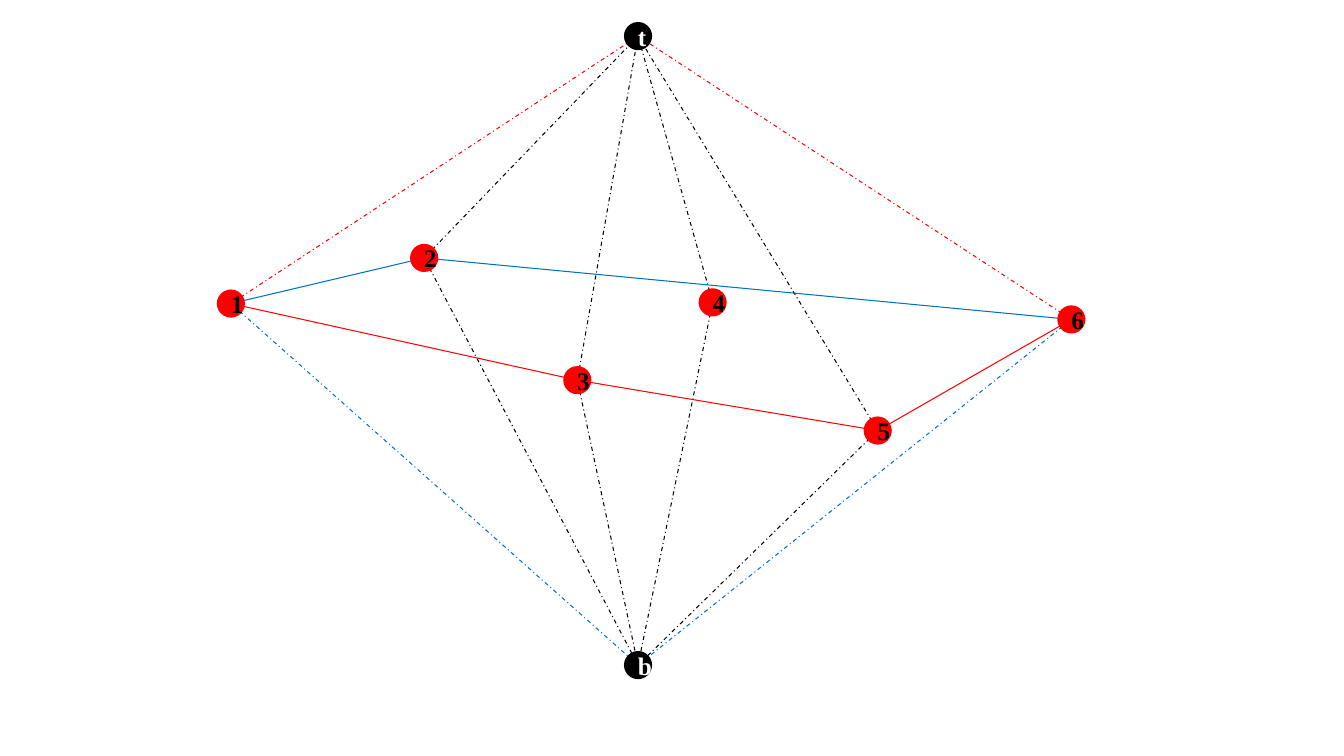
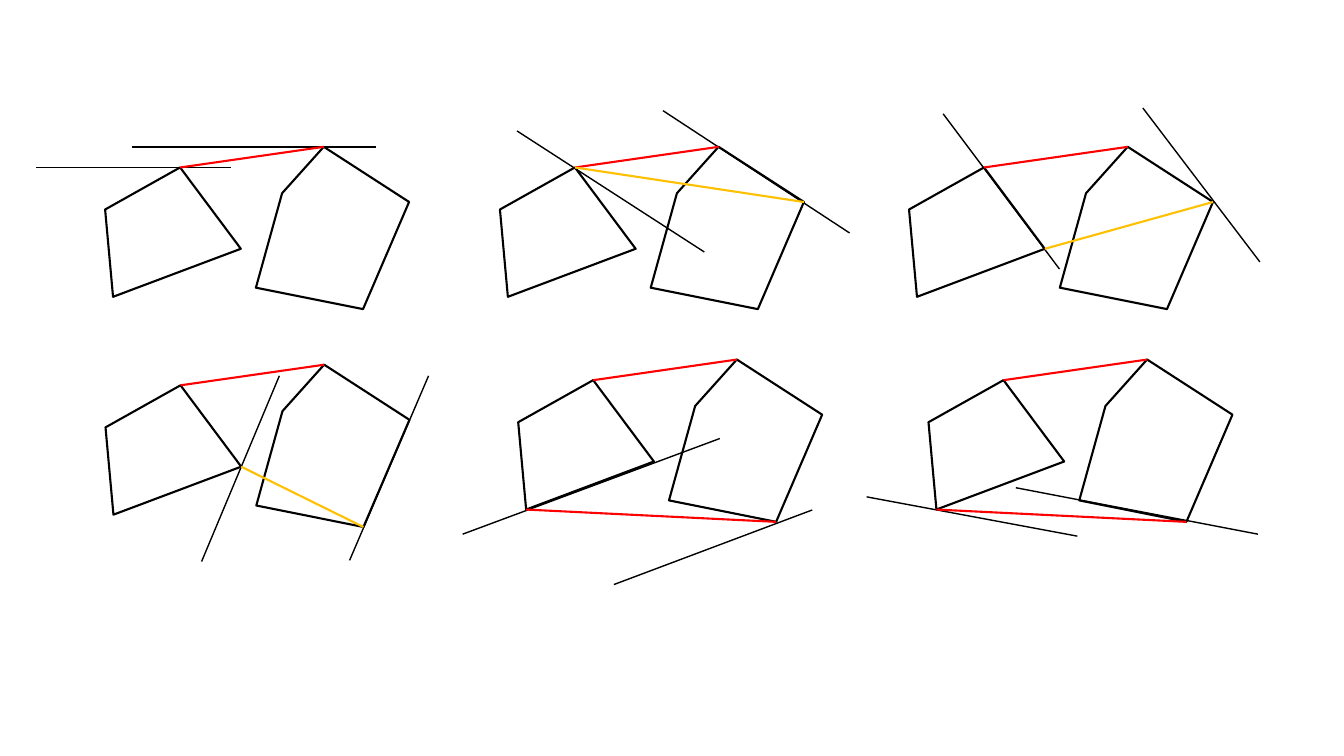
from pptx import Presentation
from pptx.dml.color import RGBColor
from pptx.enum.dml import MSO_LINE
from pptx.enum.shapes import MSO_CONNECTOR, MSO_SHAPE
from pptx.enum.text import MSO_ANCHOR, PP_ALIGN
from pptx.oxml.xmlchemy import OxmlElement
from pptx.util import Cm, Pt

STRAIGHT = MSO_CONNECTOR.STRAIGHT
OVAL = MSO_SHAPE.OVAL
DASH_DOT = MSO_LINE.DASH_DOT
MIDDLE = MSO_ANCHOR.MIDDLE
CENTER = PP_ALIGN.CENTER

BLACK, WHITE = "000000", "FFFFFF"
RED, BLUE, AMBER = "FF0000", "0070C0", "FFC000"
FONT = "Times New Roman"


def rgb(color):
    return RGBColor.from_string(color)


def add_line(slide, start, end, color, width, dash=None):
    """Draw a straight line between two (x, y) points in centimetres."""
    line = slide.shapes.add_connector(STRAIGHT, *map(Cm, start + end))
    line.line.color.rgb = rgb(color)
    line.line.width = Pt(width)
    if dash is not None:
        line.line.dash_style = dash
    line._element.spPr.append(OxmlElement("a:effectLst"))


prs = Presentation()
prs.slide_width, prs.slide_height = Cm(33.87), Cm(19.05)
blank = prs.slide_layouts[6]

# Slide 1: six points joined to a top and a bottom point
slide = prs.slides.add_slide(blank)
DIAMETER = 0.71
nodes = {  # centres
    "t": (16.08, 0.91),
    "b": (16.08, 16.76),
    "1": (5.82, 7.65),
    "2": (10.69, 6.5),
    "3": (14.55, 9.58),
    "4": (17.96, 7.62),
    "5": (22.12, 10.85),
    "6": (27, 8.05),
}
poles = "tb"
outer_colors = {"t": RED, "b": BLUE}

for pole in poles:
    for name in "123456":
        color = outer_colors[pole] if name in "16" else BLACK
        add_line(slide, nodes[name], nodes[pole], color, 0.75, DASH_DOT)

for chain, color in (("126", BLUE), ("1356", RED)):
    for a, b in zip(chain, chain[1:]):
        add_line(slide, nodes[a], nodes[b], color, 0.75)

for name, (x, y) in nodes.items():
    sp = slide.shapes.add_shape(OVAL, Cm(x - DIAMETER / 2), Cm(y - DIAMETER / 2),
                                Cm(DIAMETER), Cm(DIAMETER))
    sp.shadow.inherit = False
    sp.fill.solid()
    sp.fill.fore_color.rgb = rgb(BLACK if name in poles else RED)
    sp.line.fill.background()
    tf = sp.text_frame
    tf.text = name
    tf.vertical_anchor = MIDDLE
    p = tf.paragraphs[0]
    p.alignment = CENTER
    font = p.runs[0].font
    font.name, font.size, font.bold = FONT, Pt(18), True
    font.color.rgb = rgb(WHITE if name in poles else BLACK)

# Slide 2: six steps of parallel lines turning around two polygons
slide = prs.slides.add_slide(blank)
quad = [(0, 1.58), (1.89, 0.52), (3.42, 2.57), (0.2, 3.78)]
pentagon = [(4.46, 1.17), (5.51, 0), (7.66, 1.39), (6.5, 4.09), (3.8, 3.55)]
top_bridge = (1, 1, RED)
bottom_bridge = (3, 3, RED)

# Origin of the pair, support lines, bridges (quad vertex, pentagon vertex, colour)
steps = [
    ((2.65, 3.7),
     [((0.91, 4.22), (5.82, 4.22)), ((3.33, 3.7), (9.47, 3.7))],
     [top_bridge]),
    ((12.6, 3.7),
     [((16.71, 2.79), (21.41, 5.87)), ((13.03, 3.3), (17.75, 6.35))],
     [top_bridge, (1, 2, AMBER)]),
    ((22.91, 3.7),
     [((23.77, 2.87), (26.7, 6.78)), ((28.8, 2.72), (31.75, 6.6))],
     [top_bridge, (2, 2, AMBER)]),
    ((2.66, 9.19),
     [((10.8, 9.47), (8.81, 14.12)), ((7.04, 9.47), (5.08, 14.15))],
     [top_bridge, (2, 3, AMBER)]),
    ((13.06, 9.06),
     [((18.14, 11.05), (11.66, 13.46)), ((20.47, 12.85), (15.47, 14.73))],
     [top_bridge, bottom_bridge]),
    ((23.4, 9.06),
     [((25.6, 12.29), (31.7, 13.46)), ((21.84, 12.52), (27.15, 13.51))],
     [top_bridge, bottom_bridge]),
]

for (left, top), supports, bridges in steps:
    placed = [[(left + x, top + y) for x, y in polygon] for polygon in (quad, pentagon)]
    for points in placed:
        first, *rest = [(Cm(x), Cm(y)) for x, y in points]
        outline = slide.shapes.build_freeform(*first)
        outline.add_line_segments(rest, close=True)
        sp = outline.convert_to_shape()
        sp.shadow.inherit = False
        sp.fill.background()
        sp.line.color.rgb = rgb(BLACK)
        sp.line.width = Pt(1.5)
    for start, end in supports:
        add_line(slide, start, end, BLACK, 1)
    for i, j, color in bridges:
        add_line(slide, placed[0][i], placed[1][j], color, 1.5)

prs.save("out.pptx")
